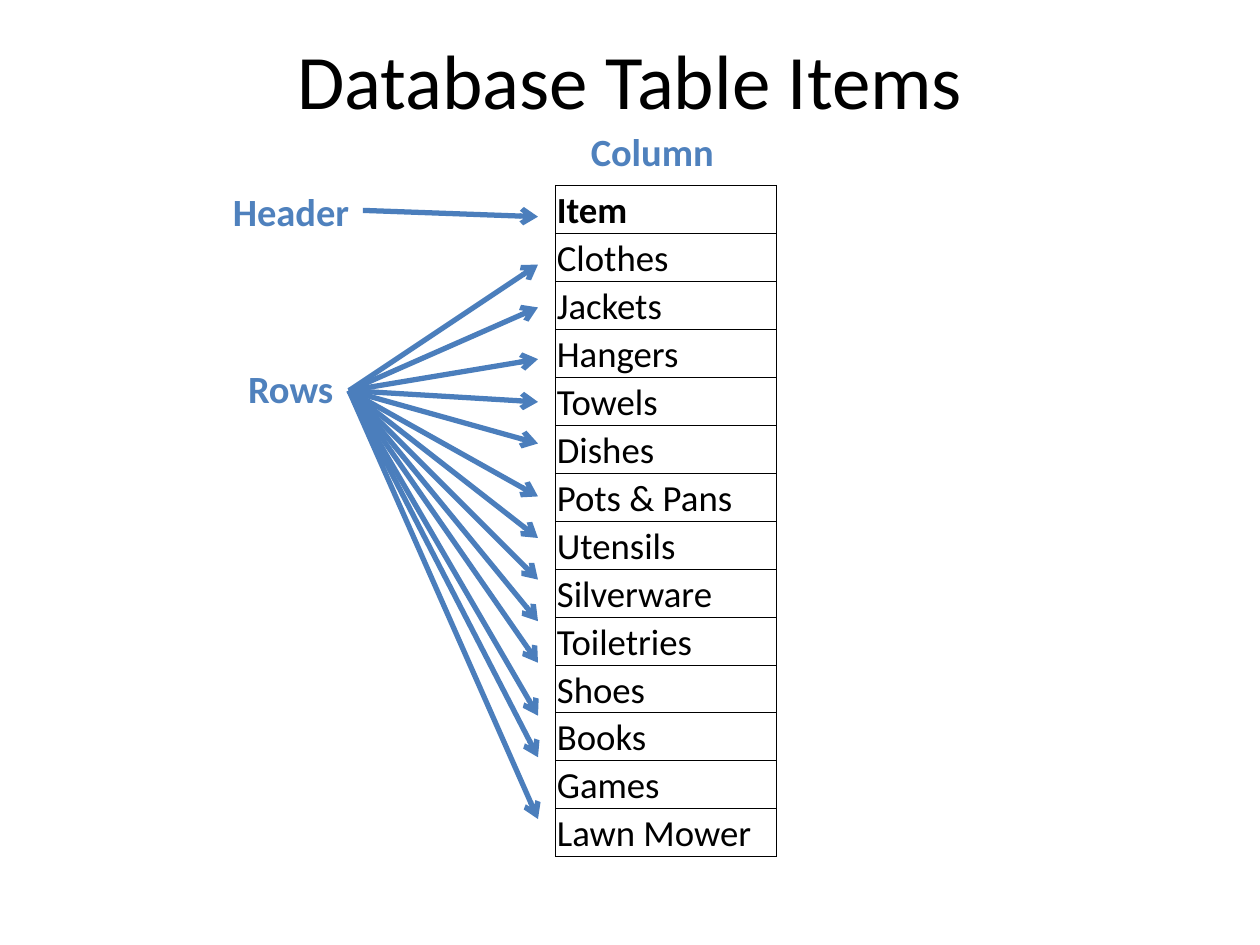
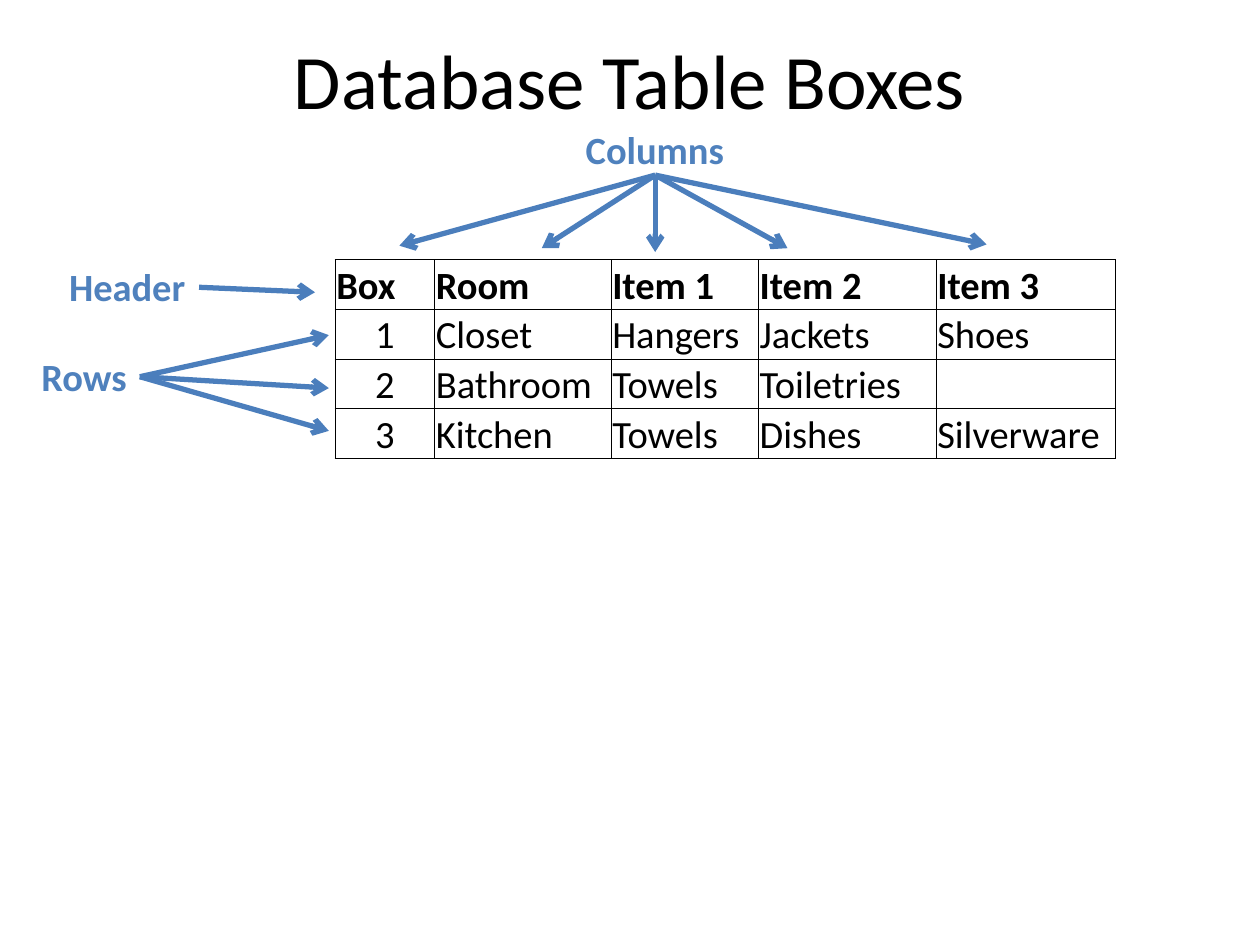
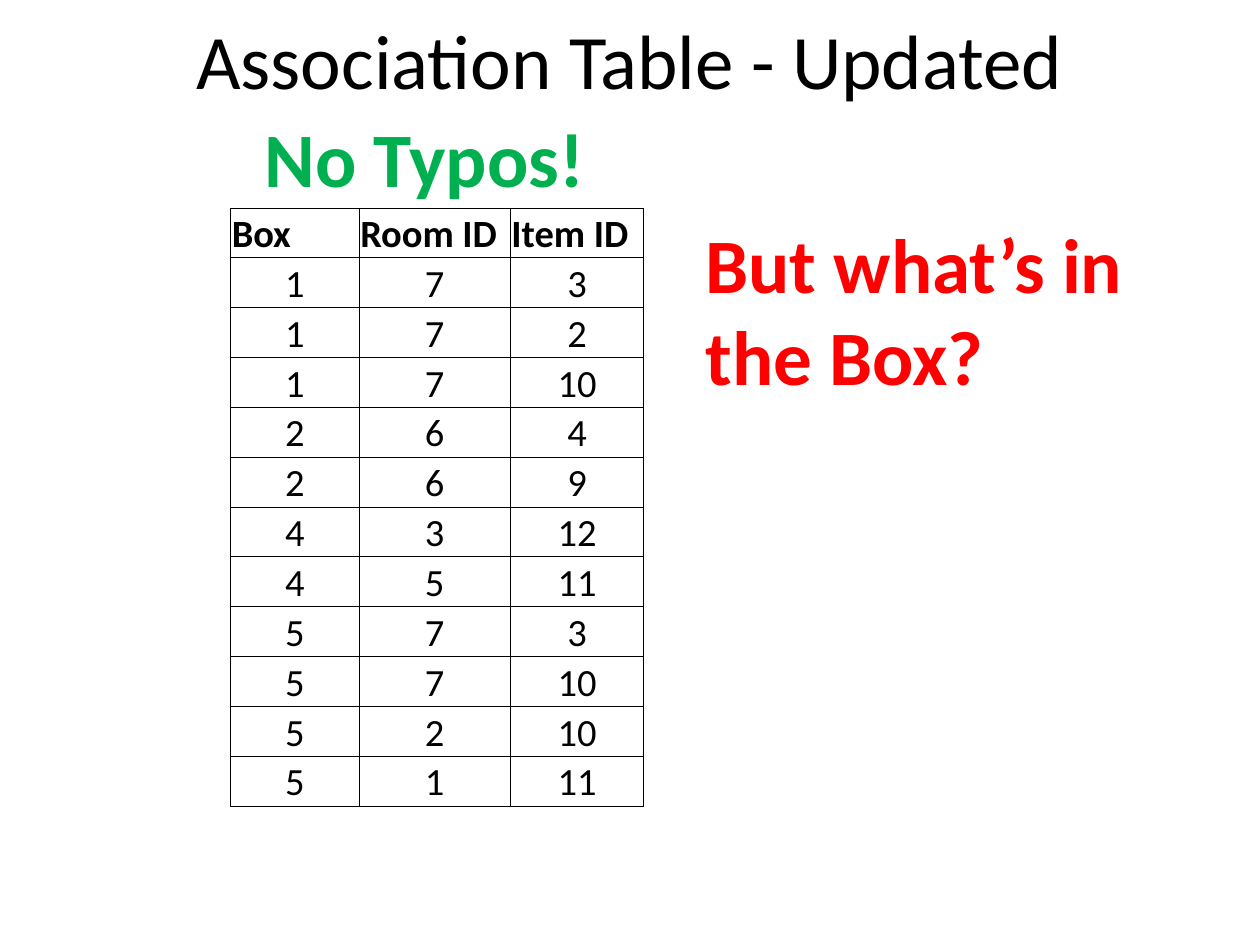
import dataclasses
import typing

import lxml.etree
import pptx
import pptx.dml.color
import pptx.enum.shapes
import pptx.enum.text
import pptx.oxml.ns
import pptx.util

Inches = pptx.util.Inches
Pt = pptx.util.Pt
Point = tuple[float, float]


@dataclasses.dataclass(frozen=True)
class Theme:
    font: str = "Calibri"
    ink: str = "000000"
    label: str = "4F81BD"
    arrow: str = "4B7EBC"
    praise: str = "00B050"
    question: str = "FF0000"
    title_size: float = 44
    label_size: float = 22
    arrow_width: float = 3
    border_width: float = 0.5
    cell_inset: float = 0.01


THEME = Theme()


class Box(typing.NamedTuple):
    left: float
    top: float
    width: float
    height: float

    def lengths(self) -> list[pptx.util.Length]:
        return [Inches(value) for value in self]


@dataclasses.dataclass(frozen=True)
class Caption:
    text: str
    box: Box
    color: str = THEME.label
    size: float = THEME.label_size
    wrap: bool = False


@dataclasses.dataclass(frozen=True)
class ArrowFan:
    origin: Point
    targets: list[Point]


@dataclasses.dataclass(frozen=True)
class Grid:
    left: float
    top: float
    height: float
    columns: list[float]
    rows: list[list[str]]
    size: float = 22


@dataclasses.dataclass(frozen=True)
class Page:
    title: str
    title_box: Box
    grid: Grid
    captions: list[Caption]
    fans: list[ArrowFan] = dataclasses.field(default_factory=list)


def add_run(paragraph, text: str, size: float, color: str, bold: bool = False) -> None:
    run = paragraph.add_run()
    run.text = text
    run.font.name = THEME.font
    run.font.size = Pt(size)
    run.font.bold = bold
    run.font.color.rgb = pptx.dml.color.RGBColor.from_string(color)


def add_xml(parent, tag: str, **attributes: str):
    return lxml.etree.SubElement(parent, pptx.oxml.ns.qn(tag), attributes)


def draw_title(slide, text: str, box: Box) -> None:
    title = slide.shapes.title
    title.left, title.top, title.width, title.height = box.lengths()
    title.text_frame.vertical_anchor = pptx.enum.text.MSO_ANCHOR.MIDDLE
    paragraph = title.text_frame.paragraphs[0]
    paragraph.alignment = pptx.enum.text.PP_ALIGN.CENTER
    add_run(paragraph, text, THEME.title_size, THEME.ink)


def draw_caption(slide, caption: Caption) -> None:
    frame = slide.shapes.add_textbox(*caption.box.lengths()).text_frame
    frame.word_wrap = caption.wrap
    frame.auto_size = pptx.enum.text.MSO_AUTO_SIZE.SHAPE_TO_FIT_TEXT
    add_run(frame.paragraphs[0], caption.text, caption.size, caption.color, bold=True)


def draw_fan(slide, fan: ArrowFan) -> None:
    for target in fan.targets:
        arrow = slide.shapes.add_connector(
            pptx.enum.shapes.MSO_CONNECTOR.STRAIGHT,
            *(Inches(value) for value in fan.origin + target),
        )
        arrow.line.width = Pt(THEME.arrow_width)
        arrow.line.color.rgb = pptx.dml.color.RGBColor.from_string(THEME.arrow)
        properties = arrow.element.spPr
        add_xml(properties.find(pptx.oxml.ns.qn("a:ln")), "a:tailEnd", type="arrow")
        add_xml(properties, "a:effectLst")


def draw_borders(cell) -> None:
    properties = cell._tc.get_or_add_tcPr()
    for edge in ("a:lnL", "a:lnR", "a:lnT", "a:lnB"):
        line = add_xml(properties, edge, w=str(Pt(THEME.border_width)))
        add_xml(add_xml(line, "a:solidFill"), "a:srgbClr", val=THEME.ink)


def draw_cell(cell, text: str, size: float, header: bool) -> None:
    draw_borders(cell)
    cell.fill.background()
    cell.vertical_anchor = pptx.enum.text.MSO_ANCHOR.BOTTOM
    cell.margin_left = cell.margin_right = cell.margin_top = Inches(THEME.cell_inset)
    cell.margin_bottom = 0
    if text:
        paragraph = cell.text_frame.paragraphs[0]
        if text.isdigit():
            paragraph.alignment = pptx.enum.text.PP_ALIGN.CENTER
        add_run(paragraph, text, size, THEME.ink, bold=header)


def draw_grid(slide, grid: Grid) -> None:
    box = Box(grid.left, grid.top, sum(grid.columns), grid.height)
    table = slide.shapes.add_table(
        len(grid.rows), len(grid.columns), *box.lengths()
    ).table
    table.horz_banding = False
    for column, width in zip(table.columns, grid.columns):
        column.width = Inches(width)
    for row_index, (row, texts) in enumerate(zip(table.rows, grid.rows)):
        row.height = Inches(grid.height / len(grid.rows))
        for cell, text in zip(row.cells, texts):
            draw_cell(cell, text, grid.size, header=row_index == 0)


def draw_page(presentation, page: Page) -> None:
    title_only = presentation.slide_layouts.get_by_name("Title Only")
    slide = presentation.slides.add_slide(title_only)
    draw_title(slide, page.title, page.title_box)
    for fan in page.fans:
        draw_fan(slide, fan)
    draw_grid(slide, page.grid)
    for caption in page.captions:
        draw_caption(slide, caption)


TALL_TITLE = Box(0.5, 0, 9, 1.25)

ITEMS = [
    "Item", "Clothes", "Jackets", "Hangers", "Towels", "Dishes", "Pots & Pans",
    "Utensils", "Silverware", "Toiletries", "Shoes", "Books", "Games", "Lawn Mower",
]
ITEM_ARROW_ENDS = [
    2.1, 2.44, 2.85, 3.19, 3.52, 3.94, 4.27, 4.6, 4.93, 5.26, 5.68, 6.01, 6.5,
]

PAGES = [
    Page(
        title="Database Table Items",
        title_box=TALL_TITLE,
        grid=Grid(4.41, 1.47, 5.33, [1.75], [[item] for item in ITEMS], size=21),
        captions=[
            Caption("Rows", Box(1.87, 2.85, 0.89, 0.47)),
            Caption("Column", Box(4.59, 0.97, 1.19, 0.47)),
            Caption("Header", Box(1.75, 1.44, 1.14, 0.47)),
        ],
        fans=[
            ArrowFan((2.77, 3.1), [(4.27, end) for end in ITEM_ARROW_ENDS]),
            ArrowFan((2.88, 1.67), [(4.27, 1.72)]),
        ],
    ),
    Page(
        title="Database Table Boxes",
        title_box=TALL_TITLE,
        grid=Grid(
            2.66, 2.06, 1.58, [0.79, 1.4, 1.17, 1.41, 1.42],
            [
                ["Box", "Room", "Item 1", "Item 2", "Item 3"],
                ["1", "Closet", "Hangers", "Jackets", "Shoes"],
                ["2", "Bathroom", "Towels", "Toiletries", ""],
                ["3", "Kitchen", "Towels", "Dishes", "Silverware"],
            ],
        ),
        captions=[
            Caption("Rows", Box(0.23, 2.75, 0.89, 0.47)),
            Caption("Columns", Box(4.55, 0.95, 1.31, 0.47)),
            Caption("Header", Box(0.45, 2.04, 1.14, 0.47)),
        ],
        fans=[
            ArrowFan((1.11, 2.99), [(2.61, end) for end in (2.66, 3.08, 3.42)]),
            ArrowFan((1.58, 2.28), [(2.5, 2.32)]),
            ArrowFan(
                (5.2, 1.39),
                [(3.17, 1.95), (4.3, 1.97), (5.2, 2), (6.25, 1.97), (7.83, 1.94)],
            ),
        ],
    ),
    Page(
        title="Association Table - Updated",
        title_box=Box(0.5, 0.02, 9, 0.89),
        grid=Grid(
            1.83, 1.65, 4.75, [1.02, 1.2, 1.06],
            [
                ["Box", "Room ID", "Item ID"],
                ["1", "7", "3"],
                ["1", "7", "2"],
                ["1", "7", "10"],
                ["2", "6", "4"],
                ["2", "6", "9"],
                ["4", "3", "12"],
                ["4", "5", "11"],
                ["5", "7", "3"],
                ["5", "7", "10"],
                ["5", "2", "10"],
                ["5", "1", "11"],
            ],
        ),
        captions=[
            Caption("No Typos!", Box(2, 0.83, 3.42, 0.84),
                    THEME.praise, THEME.title_size, wrap=True),
            Caption("But what’s in the Box?", Box(5.5, 1.67, 4.25, 1.58),
                    THEME.question, THEME.title_size, wrap=True),
        ],
    ),
]


def main() -> None:
    presentation = pptx.Presentation()
    presentation.slide_width = Inches(10)
    presentation.slide_height = Inches(7.5)
    for page in PAGES:
        draw_page(presentation, page)
    presentation.save("out.pptx")


main()
